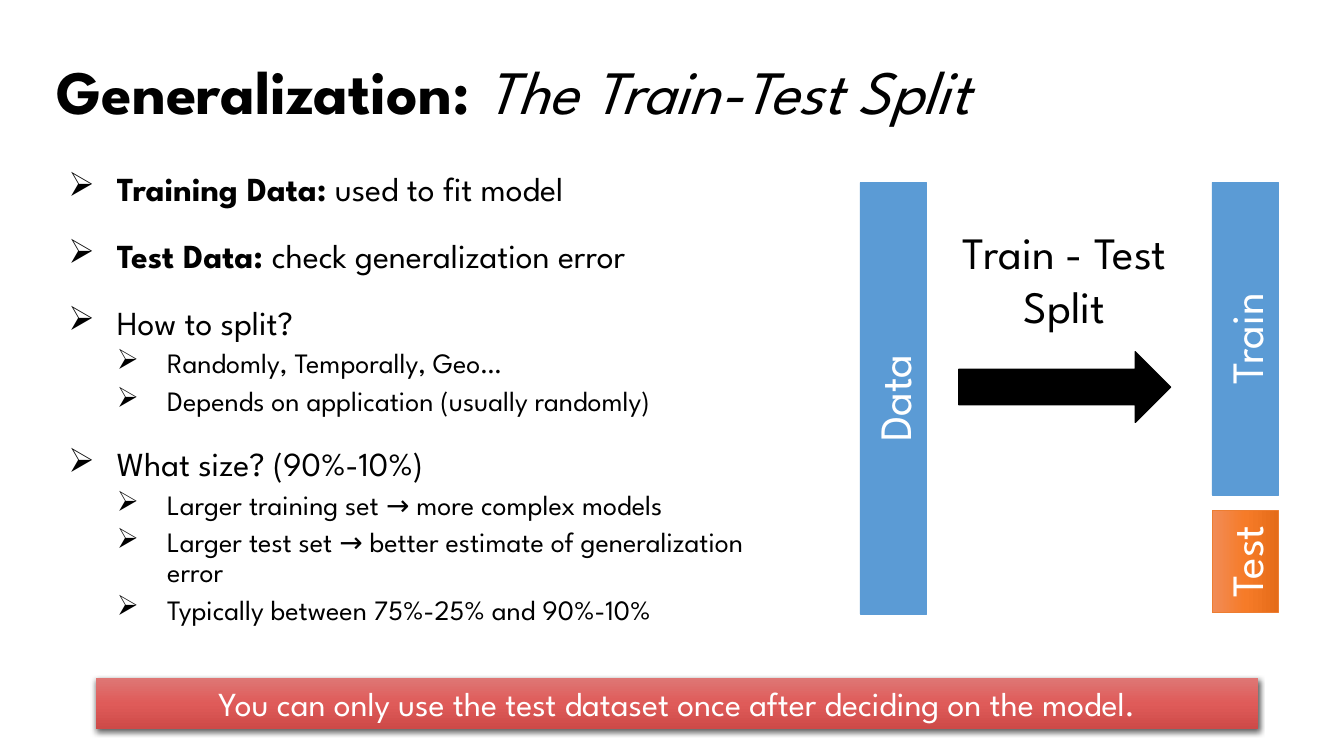
from copy import deepcopy

from lxml.etree import SubElement
from pptx import Presentation
from pptx.dml.color import RGBColor
from pptx.enum.shapes import MSO_SHAPE
from pptx.enum.text import MSO_ANCHOR, MSO_AUTO_SIZE, PP_ALIGN
from pptx.oxml.ns import qn
from pptx.util import Emu, Pt

PX = 9144  # one hundredth of an inch
FONT = "League Spartan"
BLACK = RGBColor(0x00, 0x00, 0x00)
WHITE = RGBColor(0xFF, 0xFF, 0xFF)
BLUE = RGBColor(0x5B, 0x9B, 0xD5)
ORANGE = RGBColor(0xED, 0x7D, 0x31)
ORANGE_BLEND = [RGBColor(0xF1, 0x8C, 0x57), RGBColor(0xF6, 0x7B, 0x28), RGBColor(0xE5, 0x6C, 0x19)]
RED_BLEND = [RGBColor(0xDE, 0x76, 0x74), RGBColor(0xDF, 0x5B, 0x59), RGBColor(0xCD, 0x4A, 0x48)]

# Level, bold lead, plain text
BULLETS = [
    (0, "Training Data:", " used to fit model"),
    (0, "Test Data: ", "check generalization error"),
    (0, "", "How to split?"),
    (1, "", "Randomly, Temporally, Geo…"),
    (1, "", "Depends on application (usually randomly)"),
    (0, "", "What size? (90%-10%)"),
    (1, "", "Larger training set → more complex models"),
    (1, "", "Larger test set → better estimate of generalization error"),
    (1, "", "Typically between 75%-25% and 90%-10%"),
]
# Size, space before, indent and hanging indent by level
LEVELS = [(24, 22, 50, 48), (20, 5, 100, 50)]


def px(*lengths):
    return [Emu(length * PX) for length in lengths]


def add_text(paragraph, text, size=24, color=BLACK, bold=False, italic=False):
    run = paragraph.add_run()
    run.text = text
    font = run.font
    font.name, font.size = FONT, Pt(size)
    font.bold, font.italic = bold, italic
    font.color.rgb = color


class SlideBuilder:
    def __init__(self, presentation):
        self.slide = presentation.slides.add_slide(presentation.slide_layouts[5])

    def title(self, box, lead, rest):
        shape = self.slide.shapes.title
        shape.left, shape.top, shape.width, shape.height = px(*box)
        frame = shape.text_frame
        frame.word_wrap = True
        frame.auto_size = MSO_AUTO_SIZE.NONE
        frame.vertical_anchor = MSO_ANCHOR.MIDDLE
        paragraph = frame.paragraphs[0]
        paragraph.alignment = PP_ALIGN.LEFT
        paragraph.line_spacing = 0.9
        add_text(paragraph, lead, size=44, bold=True)
        add_text(paragraph, rest, size=44, italic=True)

    def bullets(self, box, items):
        frame = self.slide.shapes.add_textbox(*px(*box)).text_frame
        frame.word_wrap = True
        for index, (level, lead, rest) in enumerate(items):
            size, space, indent, hanging = LEVELS[level]
            paragraph = frame.add_paragraph() if index else frame.paragraphs[0]
            properties = paragraph._p.get_or_add_pPr()
            properties.set("marL", str(indent * PX))
            properties.set("indent", str(-hanging * PX))
            SubElement(properties, qn("a:buChar"), char="➢")
            paragraph.level = level
            paragraph.line_spacing = 0.9
            paragraph.space_before = Pt(space if index else 0)
            if lead:
                add_text(paragraph, lead, size=size, bold=True)
            add_text(paragraph, rest, size=size)

    def shape(self, kind, box, fill, line=None, line_width=0.5):
        shape = self.slide.shapes.add_shape(kind, *px(*box))
        shape.shadow.inherit = False
        if isinstance(fill, list):
            self.blend(shape, fill)
        else:
            shape.fill.solid()
            shape.fill.fore_color.rgb = fill
        if line is None:
            shape.line.fill.background()
        else:
            shape.line.color.rgb = line
            shape.line.width = Pt(line_width)
        return shape

    def blend(self, shape, colors):
        shape.fill.gradient()
        shape.fill.gradient_angle = 270
        stop_list = shape._element.spPr.find(f".//{qn('a:gsLst')}")
        stop_list.insert(1, deepcopy(stop_list[0]))
        for stop, position, color in zip(shape.fill.gradient_stops, (0, 0.5, 1), colors):
            stop.position = position
            stop.color.rgb = color

    def upright_bar(self, box, text, fill, line):
        """Draw a bar from its visible box, turned to read upwards."""
        left, top, width, height = box
        shift = (height - width) // 2
        shape = self.shape(MSO_SHAPE.RECTANGLE, (left - shift, top + shift, height, width), fill, line)
        shape.rotation = 270
        frame = shape.text_frame
        frame.vertical_anchor = MSO_ANCHOR.MIDDLE
        frame.paragraphs[0].alignment = PP_ALIGN.CENTER
        add_text(frame.paragraphs[0], text, size=32, color=WHITE)

    def label(self, box, lines):
        frame = self.slide.shapes.add_textbox(*px(*box)).text_frame
        frame.word_wrap = False
        for index, line in enumerate(lines):
            paragraph = frame.add_paragraph() if index else frame.paragraphs[0]
            paragraph.alignment = PP_ALIGN.CENTER
            add_text(paragraph, line, size=32)

    def banner(self, box, text):
        shape = self.shape(MSO_SHAPE.RECTANGLE, box, RED_BLEND)
        effects = shape._element.spPr.find(qn("a:effectLst"))
        shadow = SubElement(effects, qn("a:outerShdw"), blurRad=str(Pt(4.5)), dist=str(Pt(1.5)),
                            dir="5400000", rotWithShape="0")
        color = SubElement(shadow, qn("a:srgbClr"), val=str(BLACK))
        SubElement(color, qn("a:alpha"), val="63000")
        frame = shape.text_frame
        frame.word_wrap = True
        frame.vertical_anchor = MSO_ANCHOR.TOP
        frame.paragraphs[0].alignment = PP_ALIGN.CENTER
        add_text(frame.paragraphs[0], text, color=WHITE)


def main():
    presentation = Presentation()
    presentation.slide_width, presentation.slide_height = px(1333, 750)
    builder = SlideBuilder(presentation)

    # Title and bullets
    builder.title((46, 21, 1181, 145), "Generalization: ", "The Train-Test Split")
    builder.bullets((56, 166, 749, 475), BULLETS)

    # Split diagram
    builder.upright_bar((853, 181, 66, 428), "Data", BLUE, BLUE)
    builder.upright_bar((1202, 181, 66, 310), "Train", BLUE, BLUE)
    builder.upright_bar((1202, 506, 66, 102), "Test", ORANGE_BLEND, ORANGE)
    builder.shape(MSO_SHAPE.RIGHT_ARROW, (951, 349, 210, 70), BLACK, BLACK, line_width=1)
    builder.label((936, 218, 240, 118), ["Train - Test", "Split"])

    # Takeaway
    builder.banner((95, 673, 1153, 50),
                   "You can only use the test dataset once after deciding on the model.")

    presentation.save("out.pptx")


if __name__ == "__main__":
    main()
